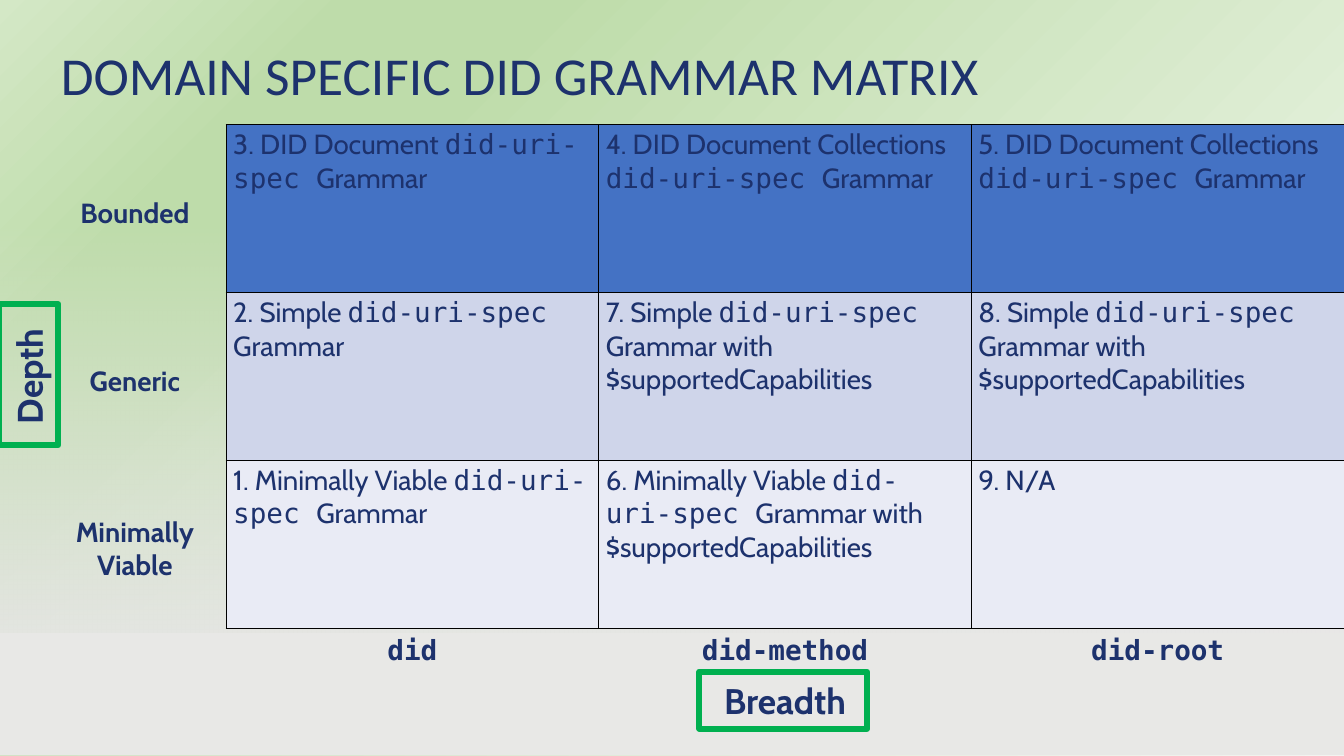
from dataclasses import dataclass

from lxml import etree
from pptx import Presentation
from pptx.dml.color import RGBColor
from pptx.enum.shapes import MSO_SHAPE
from pptx.enum.text import MSO_ANCHOR, MSO_AUTO_SIZE, PP_ALIGN
from pptx.oxml.ns import qn
from pptx.util import Inches, Pt

RECT = MSO_SHAPE.RECTANGLE
TOP, MID = MSO_ANCHOR.TOP, MSO_ANCHOR.MIDDLE
LEFT, CENTER = PP_ALIGN.LEFT, PP_ALIGN.CENTER
FIXED = MSO_AUTO_SIZE.NONE

WIDE, HIGH = 18.9, 10.63
COL, ROW = 5.24, 2.36
GRID_X, GRID_Y = 3.18, 1.75
SANS, MONO, HEAD = "Cabin", "DejaVu Sans Mono", "Calibri"
TERM = "did-uri-spec "

COLORS = {
    "ink": "1D326D",
    "edge": "000000",
    "frame": "00B050",
    "floor": "E8E8E6",
    "haze": "E7E6E6",
    "pale": "F8FBF6",
    "leaf": "BEDCAA",
    "mint": "D4E8C6",
    "top": "4472C4",
    "mid": "CFD5EA",
    "low": "E9EBF5",
}

MATRIX = {
    "top": [
        "3. DID Document did-uri-spec Grammar",
        "4. DID Document Collections did-uri-spec Grammar",
        "5. DID Document Collections did-uri-spec Grammar",
    ],
    "mid": [
        "2. Simple did-uri-spec Grammar",
        "7. Simple did-uri-spec Grammar with $supportedCapabilities",
        "8. Simple did-uri-spec Grammar with $supportedCapabilities",
    ],
    "low": [
        "1. Minimally Viable did-uri-spec Grammar",
        "6. Minimally Viable did-uri-spec Grammar with $supportedCapabilities",
        "9. N/A",
    ],
}


@dataclass
class Area:
    col: float
    row: float
    cols: float
    rows: float

    def box(self) -> tuple:
        return (
            Inches(GRID_X + self.col * COL),
            Inches(GRID_Y + self.row * ROW),
            Inches(self.cols * COL),
            Inches(self.rows * ROW),
        )


@dataclass
class Label:
    text: str
    area: Area
    font: str = SANS
    size: int = 28
    anchor: int = MID
    turned: bool = False


@dataclass
class Stop:
    place: int
    color: str
    alpha: int = 100


LABELS = [
    *[Label(text, Area(i, 3.01, 1, 0.3), MONO, anchor=TOP)
      for i, text in enumerate(["did", "did-method", "did-root"])],
    *[Label(text, Area(-0.49, i + 0.18, 0.49, 0.69))
      for i, text in enumerate(["Bounded", "Generic", "Minimally\nViable"])],
    Label("Depth", Area(-0.61, 0, 0.16, 3), size=36, turned=True),
    Label("Breadth", Area(0, 3.26, 3, 0.34), size=36),
]
FRAMES = [Area(-0.61, 1.07, 0.16, 0.84), Area(1.27, 3.26, 0.45, 0.34)]


def tint(name: str) -> RGBColor:
    return RGBColor.from_string(COLORS[name])


def style(font, face: str, size: int, bold: bool = False) -> None:
    font.name = face
    font.size = Pt(size)
    font.bold = bold
    font.color.rgb = tint("ink")


def blend(parent, stops: list[Stop], angle: int) -> None:
    grad = etree.Element(qn("a:gradFill"), rotWithShape="1")
    items = etree.SubElement(grad, qn("a:gsLst"))
    for stop in stops:
        item = etree.SubElement(items, qn("a:gs"), pos=str(stop.place * 1000))
        color = etree.SubElement(item, qn("a:srgbClr"), val=COLORS[stop.color])
        if stop.alpha < 100:
            etree.SubElement(color, qn("a:alpha"), val=str(stop.alpha * 1000))
    etree.SubElement(grad, qn("a:lin"), ang=str(angle * 60000), scaled="0")
    parent.replace(parent.find(qn("a:solidFill")), grad)


def draw_band(slide, row: float, rows: float, color: str):
    band = slide.shapes.add_shape(
        RECT, 0, Inches(GRID_Y + row * ROW), Inches(WIDE), Inches(rows * ROW))
    band.shadow.inherit = False
    band.fill.solid()
    band.fill.fore_color.rgb = tint(color)
    band.line.fill.background()
    return band


def draw_title(slide, text: str) -> None:
    title = slide.shapes.title
    title.left, title.top = Inches(0.04 * WIDE), Inches(0.06 * HIGH)
    title.width, title.height = Inches(0.92 * WIDE), Inches(0.15 * HIGH)
    frame = title.text_frame
    frame.text = text
    frame.auto_size = FIXED
    frame.word_wrap = True
    frame.vertical_anchor = TOP
    line = frame.paragraphs[0]
    line.alignment = LEFT
    line.line_spacing = 0.9
    style(line.runs[0].font, HEAD, 54)


def add_edges(cell) -> None:
    props = cell._tc.get_or_add_tcPr()
    for i, side in enumerate(["lnL", "lnR", "lnT", "lnB"]):
        edge = etree.Element(qn("a:" + side), w=str(Pt(1)))
        fill = etree.SubElement(edge, qn("a:solidFill"))
        etree.SubElement(fill, qn("a:srgbClr"), val=COLORS["edge"])
        props.insert(i, edge)


def draw_matrix(slide) -> None:
    table = slide.shapes.add_table(3, 3, *Area(0, 0, 3, 3).box()).table
    table.first_row = False
    table.horz_banding = False
    for i, (color, texts) in enumerate(MATRIX.items()):
        for j, text in enumerate(texts):
            cell = table.cell(i, j)
            cell.fill.solid()
            cell.fill.fore_color.rgb = tint(color)
            add_edges(cell)
            line = cell.text_frame.paragraphs[0]
            for part in filter(None, text.partition(TERM)):
                run = line.add_run()
                run.text = part
                style(run.font, MONO if part == TERM else SANS, 28)


def draw_label(slide, label: Label) -> None:
    left, top, width, height = label.area.box()
    if label.turned:
        shift = (width - height) // 2
        left, top, width, height = left + shift, top - shift, height, width
    box = slide.shapes.add_textbox(left, top, width, height)
    box.rotation = 270 if label.turned else 0
    frame = box.text_frame
    frame.text = label.text
    frame.word_wrap = True
    frame.vertical_anchor = label.anchor
    for line in frame.paragraphs:
        line.alignment = CENTER
        style(line.runs[0].font, label.font, label.size, True)


def draw_frame(slide, area: Area) -> None:
    frame = slide.shapes.add_shape(RECT, *area.box())
    frame.shadow.inherit = False
    frame.fill.background()
    frame.line.color.rgb = tint("frame")
    frame.line.width = Pt(6)
    etree.SubElement(frame.line._ln, qn("a:round"))


def main() -> None:
    deck = Presentation()
    deck.slide_width, deck.slide_height = Inches(WIDE), Inches(HIGH)
    slide = deck.slides.add_slide(deck.slide_layouts[5])
    slide.background.fill.solid()
    slide.background.fill.fore_color.rgb = tint("leaf")
    blend(slide.element.find(".//" + qn("p:bgPr")),
          [Stop(0, "pale"), Stop(74, "leaf"), Stop(83, "leaf"), Stop(100, "mint")], 225)
    haze = draw_band(slide, 0.58, 2.69, "haze")
    blend(haze.element.spPr, [Stop(0, "haze", 0), Stop(100, "haze")], 90)
    draw_band(slide, 3.03, 0.73, "floor")
    draw_title(slide, "DOMAIN SPECIFIC DID GRAMMAR MATRIX")
    slide.shapes.element.append(slide.shapes.title.element)
    draw_matrix(slide)
    for label in LABELS:
        draw_label(slide, label)
    for area in FRAMES:
        draw_frame(slide, area)
    deck.save("out.pptx")


if __name__ == "__main__":
    main()
